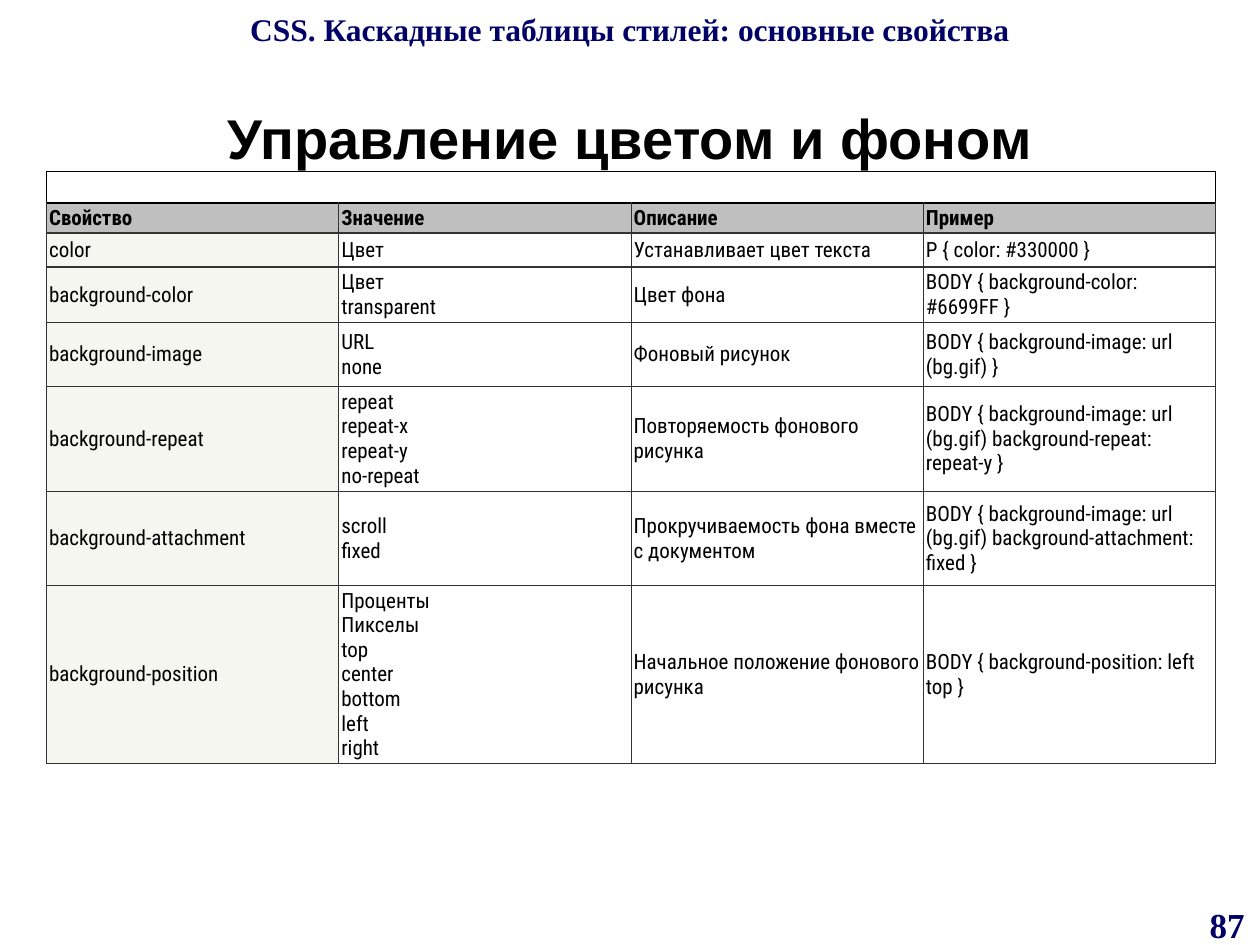
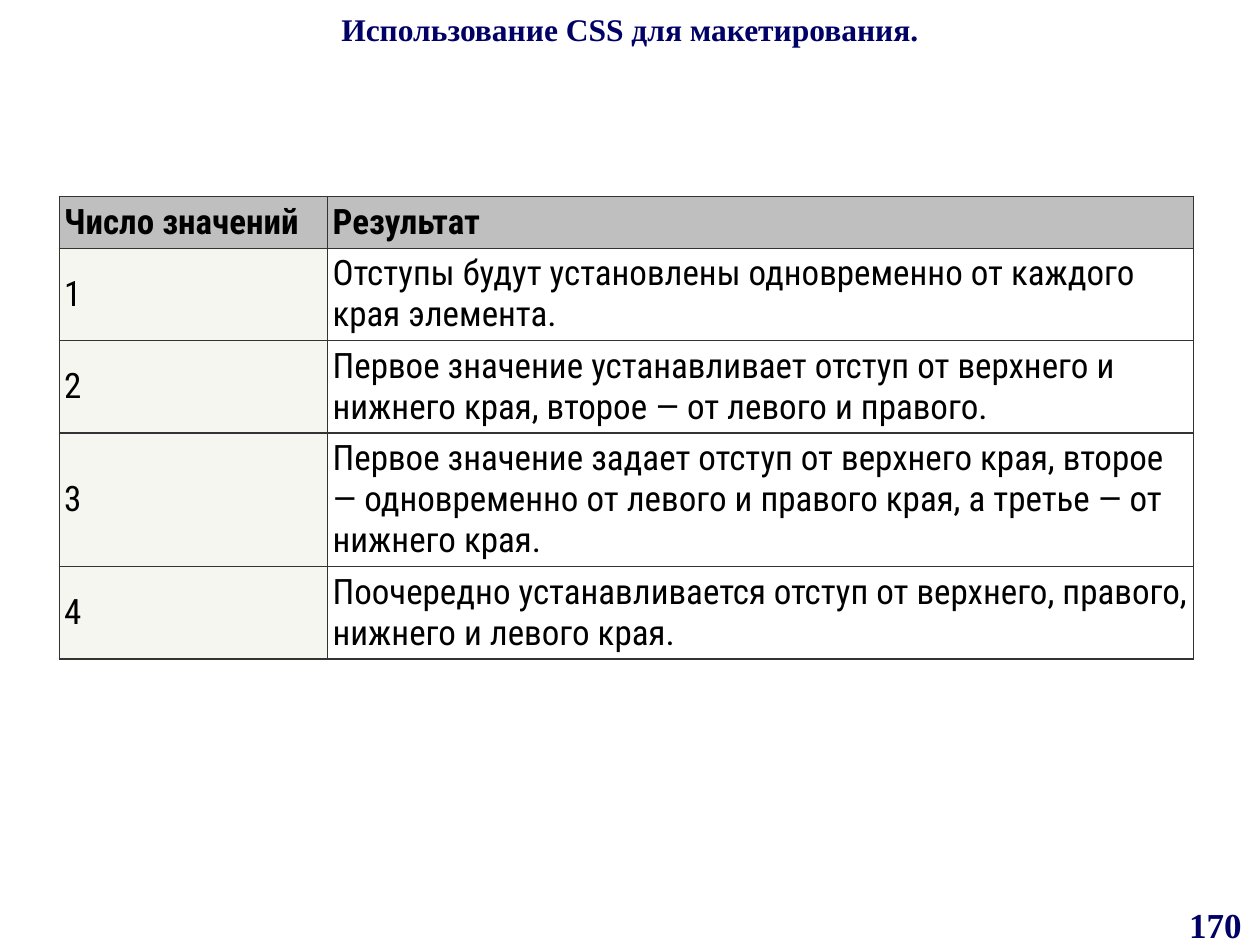
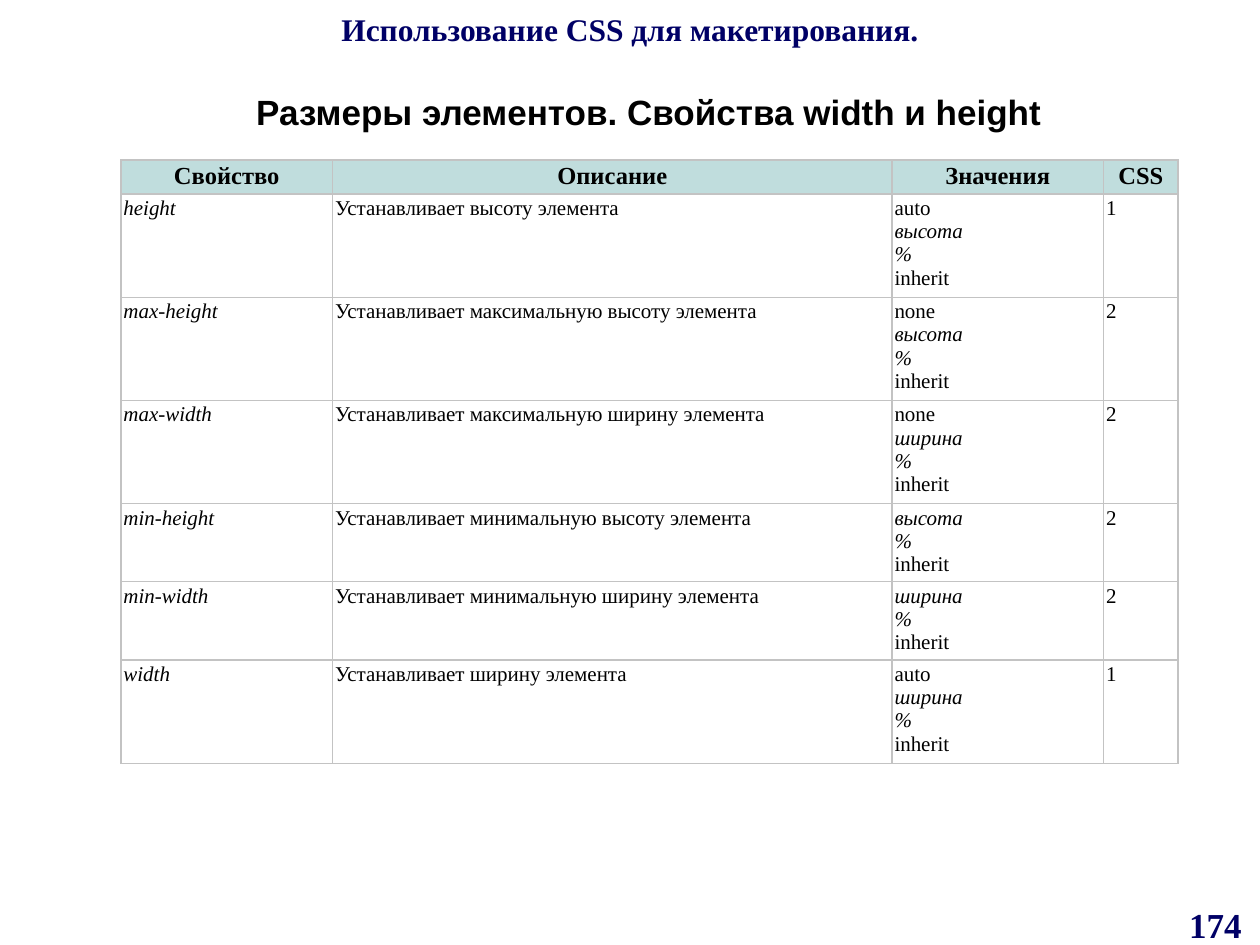
from dataclasses import dataclass
from typing import Optional

import pptx
import pptx.dml.color
import pptx.enum.text
import pptx.oxml.ns
import pptx.util
from lxml import etree

EMU_PER_PX = 9144
TITLE_ONLY_LAYOUT = 5
ALIGN = pptx.enum.text.PP_ALIGN
ANCHOR = pptx.enum.text.MSO_ANCHOR


@dataclass(frozen=True)
class Theme:
    navy: str = "000066"
    black: str = "000000"
    white: str = "FFFFFF"
    dark_line: str = "333333"
    pale_line: str = "C3C3C3"
    gray_head: str = "BFBFBF"
    teal_head: str = "C0DDDD"
    ivory: str = "F6F6F0"
    serif: str = "Times New Roman"
    sans: str = "Arial"
    condensed: str = "Roboto Condensed"
    running_size: int = 18
    number_size: int = 20
    large_title: int = 32
    small_title: int = 20
    large_cell: int = 20
    table_head: int = 14
    small_cell: int = 12
    line_width: float = 0.75
    frame_width: float = 1


THEME = Theme()


@dataclass(frozen=True)
class Area:
    left: int
    top: int
    width: int
    height: int


@dataclass(frozen=True)
class Heading:
    text: str
    area: Area
    size: int
    inset_top: int


@dataclass(frozen=True)
class TableStyle:
    font: str
    head_size: int
    body_size: int
    head_fill: str
    first_column_fill: str
    line: str
    inset: int
    anchor: ANCHOR
    head_align: ALIGN = ALIGN.LEFT
    italic_lines: frozenset[str] = frozenset()


@dataclass(frozen=True)
class Grid:
    left: int
    top: int
    columns: list[int]
    rows: list[int]
    cells: list[list[str]]
    style: TableStyle
    blank_top_row: bool = False


@dataclass(frozen=True)
class Lesson:
    number: str
    number_area: Area
    running_title: str
    grid: Grid
    heading: Optional[Heading] = None


def px(length: int) -> pptx.util.Emu:
    return pptx.util.Emu(length * EMU_PER_PX)


def rgb(color: str) -> pptx.dml.color.RGBColor:
    return pptx.dml.color.RGBColor.from_string(color)


def write_text(para, text: str, *, font: str, size: int, color: str = THEME.black,
               bold: bool = False, align: ALIGN = ALIGN.LEFT,
               italic_lines: frozenset[str] = frozenset()) -> None:
    para.alignment = align
    for index, line in enumerate(text.split("\n")):
        if index:
            para.add_line_break()
        span = para.add_run()
        span.text = line
        span.font.name = font
        span.font.size = pptx.util.Pt(size)
        span.font.bold = bold
        span.font.italic = line in italic_lines
        span.font.color.rgb = rgb(color)


def place_label(box, text: str, area: Area, *, inset_top: int = 8, font: str = THEME.serif,
                size: int, color: str = THEME.navy) -> None:
    box.left, box.top = px(area.left), px(area.top)
    box.width, box.height = px(area.width), px(area.height)
    frame = box.text_frame
    frame.word_wrap = True
    frame.auto_size = pptx.enum.text.MSO_AUTO_SIZE.NONE
    frame.vertical_anchor = ANCHOR.TOP
    frame.margin_top = px(inset_top)
    write_text(frame.paragraphs[0], text, font=font, size=size, color=color, bold=True,
               align=ALIGN.CENTER)


def set_borders(cell, color: str, width: float) -> None:
    properties = cell._tc.get_or_add_tcPr()
    for side in ("lnL", "lnR", "lnT", "lnB"):
        line = etree.SubElement(properties, pptx.oxml.ns.qn(f"a:{side}"),
                                w=str(pptx.util.Pt(width)))
        fill = etree.SubElement(line, pptx.oxml.ns.qn("a:solidFill"))
        etree.SubElement(fill, pptx.oxml.ns.qn("a:srgbClr"), val=color)


def format_cell(cell, fill: str, style: TableStyle, line: str, width: float) -> None:
    set_borders(cell, line, width)
    cell.fill.solid()
    cell.fill.fore_color.rgb = rgb(fill)
    cell.vertical_anchor = style.anchor
    inset = px(style.inset)
    cell.margin_left = cell.margin_right = cell.margin_top = cell.margin_bottom = inset


def add_blank_row(table, style: TableStyle) -> None:
    for cell in table.rows[0].cells:
        format_cell(cell, THEME.white, style, THEME.black, THEME.frame_width)
        ending = cell.text_frame.paragraphs[0]._p.get_or_add_endParaRPr()
        ending.set("sz", str(style.body_size * 100))
    table.cell(0, 0).merge(table.cell(0, len(table.columns) - 1))


def add_grid(page, grid: Grid) -> None:
    style = grid.style
    table = page.shapes.add_table(len(grid.rows), len(grid.columns), px(grid.left), px(grid.top),
                                  px(sum(grid.columns)), px(sum(grid.rows))).table
    table.first_row = table.horz_banding = False
    for column, width in zip(table.columns, grid.columns):
        column.width = px(width)
    for row, height in zip(table.rows, grid.rows):
        row.height = px(height)
    if grid.blank_top_row:
        add_blank_row(table, style)
    for row_index, texts in enumerate(grid.cells):
        is_head = row_index == 0
        for column_index, text in enumerate(texts):
            cell = table.cell(row_index + grid.blank_top_row, column_index)
            body_fill = THEME.white if column_index else style.first_column_fill
            format_cell(cell, style.head_fill if is_head else body_fill, style,
                        style.line, THEME.line_width)
            write_text(cell.text_frame.paragraphs[0], text, font=style.font, bold=is_head,
                       size=style.head_size if is_head else style.body_size,
                       align=style.head_align if is_head else ALIGN.LEFT,
                       italic_lines=style.italic_lines)


def add_lesson(deck, lesson: Lesson) -> None:
    page = deck.slides.add_slide(deck.slide_layouts[TITLE_ONLY_LAYOUT])
    running_box = page.shapes.title
    place_label(page.shapes.add_textbox(0, 0, 0, 0), lesson.number, lesson.number_area,
                size=THEME.number_size)
    if lesson.heading:
        heading = lesson.heading
        place_label(page.shapes.title, heading.text, heading.area, inset_top=heading.inset_top,
                    font=THEME.sans, size=heading.size, color=THEME.black)
        running_box = page.shapes.add_textbox(0, 0, 0, 0)
    place_label(running_box, lesson.running_title, RUNNING_AREA, size=THEME.running_size)
    add_grid(page, lesson.grid)


RUNNING_AREA = Area(0, 0, 1000, 63)
WIDE_NUMBER_AREA = Area(929, 709, 71, 41)
LAYOUT_TITLE = "Использование CSS для макетирования."

BACKGROUND_STYLE = TableStyle(
    THEME.condensed, THEME.small_cell, THEME.small_cell, THEME.gray_head, THEME.ivory,
    THEME.dark_line, 2, ANCHOR.MIDDLE)
MARGIN_STYLE = TableStyle(
    THEME.condensed, THEME.large_cell, THEME.large_cell, THEME.gray_head, THEME.ivory,
    THEME.dark_line, 4, ANCHOR.MIDDLE)
SIZE_STYLE = TableStyle(
    THEME.serif, THEME.table_head, THEME.small_cell, THEME.teal_head, THEME.white,
    THEME.pale_line, 2, ANCHOR.TOP, ALIGN.CENTER,
    frozenset({"height", "max-height", "max-width", "min-height", "min-width", "width",
               "высота", "ширина", "%"}))

BACKGROUND_CELLS = [
    ["Свойство", "Значение", "Описание", "Пример"],
    ["color", "Цвет", "Устанавливает цвет текста", "P { color: #330000 }"],
    ["background-color", "Цвет\ntransparent", "Цвет фона", "BODY { background-color: #6699FF }"],
    ["background-image", "URL\nnone", "Фоновый рисунок", "BODY { background-image: url (bg.gif) }"],
    ["background-repeat", "repeat\nrepeat-x\nrepeat-y\nno-repeat",
     "Повторяемость фонового рисунка",
     "BODY { background-image: url (bg.gif) background-repeat: repeat-y }"],
    ["background-attachment", "scroll\nfixed", "Прокручиваемость фона вместе с документом",
     "BODY { background-image: url (bg.gif) background-attachment: fixed }"],
    ["background-position", "Проценты\nПикселы\ntop\ncenter\nbottom\nleft\nright",
     "Начальное положение фонового рисунка", "BODY { background-position: left top }"],
]
MARGIN_CELLS = [
    ["Число значений", "Результат"],
    ["1", "Отступы будут установлены одновременно от каждого края элемента."],
    ["2", "Первое значение устанавливает отступ от верхнего и нижнего края, "
          "второе — от левого и правого."],
    ["3", "Первое значение задает отступ от верхнего края, второе — одновременно "
          "от левого и правого края, а третье — от нижнего края."],
    ["4", "Поочередно устанавливается отступ от верхнего, правого, нижнего и левого края."],
]
SIZE_CELLS = [
    ["Свойство", "Описание", "Значения", "CSS"],
    ["height", "Устанавливает высоту элемента", "auto\nвысота\n%\ninherit", "1"],
    ["max-height", "Устанавливает максимальную высоту элемента", "none\nвысота\n%\ninherit", "2"],
    ["max-width", "Устанавливает максимальную ширину элемента", "none\nширина\n%\ninherit", "2"],
    ["min-height", "Устанавливает минимальную высоту элемента", "высота\n%\ninherit", "2"],
    ["min-width", "Устанавливает минимальную ширину элемента", "ширина\n%\ninherit", "2"],
    ["width", "Устанавливает ширину элемента", "auto\nширина\n%\ninherit", "1"],
]

LESSONS = [
    Lesson("87", Area(948, 709, 52, 41), "CSS. Каскадные таблицы стилей: основные свойства",
           Grid(37, 136, [232] * 4, [25, 24, 27, 44, 51, 83, 75, 141], BACKGROUND_CELLS,
                BACKGROUND_STYLE, blank_top_row=True),
           Heading("Управление цветом и фоном", Area(50, 71, 900, 50), THEME.large_title, 11)),
    Lesson("170", WIDE_NUMBER_AREA, LAYOUT_TITLE,
           Grid(47, 156, [213, 687], [41, 73, 73, 106, 73], MARGIN_CELLS, MARGIN_STYLE)),
    Lesson("174", WIDE_NUMBER_AREA, LAYOUT_TITLE,
           Grid(96, 127, [168, 444, 168, 59], [27, 82, 82, 82, 62, 62, 82], SIZE_CELLS,
                SIZE_STYLE),
           Heading("Размеры элементов. Свойства width и height", Area(65, 65, 900, 125),
                   THEME.small_title, 7)),
]


def main() -> None:
    deck = pptx.Presentation()
    deck.slide_width, deck.slide_height = px(1000), px(750)
    for lesson in LESSONS:
        add_lesson(deck, lesson)
    deck.save("out.pptx")


if __name__ == "__main__":
    main()
